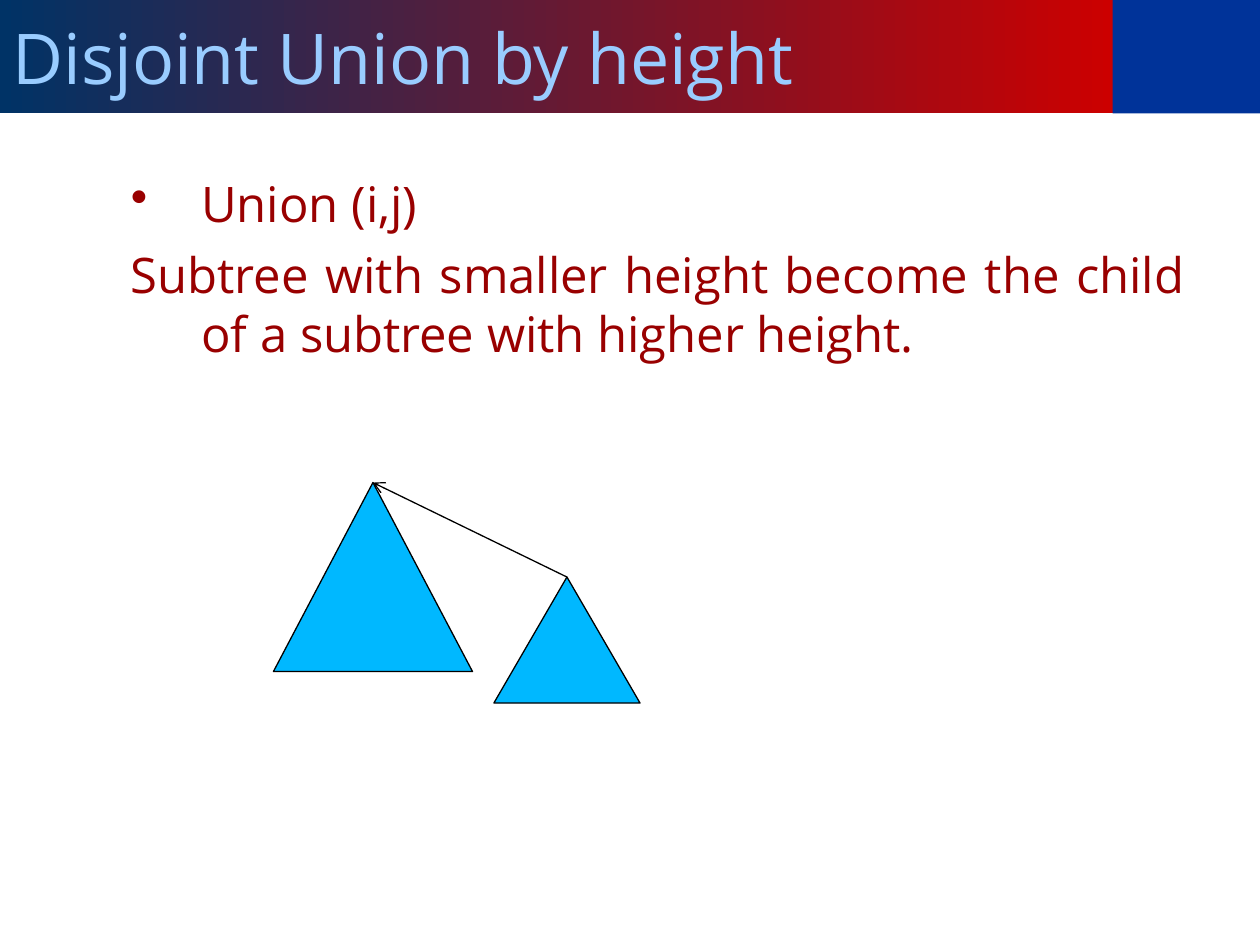
from typing import NamedTuple

from lxml.etree import SubElement
from pptx import Presentation
from pptx.dml.color import RGBColor
from pptx.enum.shapes import MSO_CONNECTOR, MSO_SHAPE
from pptx.enum.text import MSO_ANCHOR, MSO_AUTO_SIZE, PP_ALIGN
from pptx.oxml.ns import qn
from pptx.util import Inches, Pt

COLORS = {
    "band_start": "003366", "band_end": "CC0000", "corner": "003399",
    "title": "99CCFF", "body": "990000", "tree": "00B8FF", "outline": "000000",
}
FONT = "Open Sans"
SLIDE_WIDTH, SLIDE_HEIGHT = 10, 7.5
BAND_WIDTH, BAND_HEIGHT = 8.84, 0.12 * SLIDE_HEIGHT


class Tree(NamedTuple):
    left: float
    top: float
    width: float
    height: float

    @property
    def root(self) -> tuple[float, float]:
        return self.left + self.width / 2, self.top


class Line(NamedTuple):
    text: str
    bullet: str = ""


SMALL_TREE = Tree(3.92, 4.58, 1.16, 1)
TALL_TREE = Tree(2.17, 3.83, 1.58, 1.5)
LINES = [
    Line("Union (i,j)", "•"),
    Line("Subtree with smaller height become the child "
         "of a subtree with higher height."),
]


def color(name: str) -> RGBColor:
    return RGBColor.from_string(COLORS[name])


def set_font(font, size: int, color_name: str) -> None:
    for key, value in {"name": FONT, "size": Pt(size), "bold": False}.items():
        setattr(font, key, value)
    font.color.rgb = color(color_name)


def set_outline(line) -> None:
    line.color.rgb = color("outline")
    line.width = Pt(0.75)


def add_filled(slide, kind, box: tuple, color_name: str):
    shape = slide.shapes.add_shape(kind, *map(Inches, box))
    shape.shadow.inherit = False
    shape.fill.solid()
    shape.fill.fore_color.rgb = color(color_name)
    shape.line.fill.background()
    return shape


def format_title(title) -> None:
    box = {"left": 0, "top": 0, "width": BAND_WIDTH, "height": BAND_HEIGHT}
    for key, value in box.items():
        setattr(title, key, Inches(value))
    title.fill.gradient()
    title.fill.gradient_angle = 0
    for stop, name in zip(title.fill.gradient_stops, ("band_start", "band_end")):
        stop.color.rgb = color(name)
    frame = title.text_frame
    frame.text = "Disjoint Union by height"
    frame.auto_size = MSO_AUTO_SIZE.NONE
    frame.vertical_anchor = MSO_ANCHOR.MIDDLE
    frame.paragraphs[0].alignment = PP_ALIGN.LEFT
    set_font(frame.paragraphs[0].runs[0].font, 40, "title")


def add_body(slide, lines: list[Line]) -> None:
    frame = slide.shapes.add_textbox(*map(Inches, (0.5, 1.33, 9, 5.37))).text_frame
    frame.word_wrap = True
    for index, line in enumerate(lines):
        paragraph = frame.add_paragraph() if index else frame.paragraphs[0]
        paragraph.alignment = PP_ALIGN.JUSTIFY
        paragraph.space_before = Pt(7)
        run = paragraph.add_run()
        run.text = line.text
        set_font(run.font, 28, "body")
        # Hanging indent and bullet
        properties = paragraph._p.get_or_add_pPr()
        properties.set("marL", str(Inches(1)))
        properties.set("indent", str(Inches(-0.56)))
        if line.bullet:
            SubElement(properties, qn("a:buChar")).set("char", line.bullet)
        else:
            SubElement(properties, qn("a:buNone"))


def add_union_arrow(slide, child: Tree, parent: Tree) -> None:
    arrow = slide.shapes.add_connector(
        MSO_CONNECTOR.STRAIGHT, *map(Inches, child.root + parent.root))
    set_outline(arrow.line)
    SubElement(arrow.line._get_or_add_ln(), qn("a:tailEnd")).set("type", "arrow")
    SubElement(arrow._element.spPr, qn("a:effectLst"))


presentation = Presentation()
presentation.slide_width = Inches(SLIDE_WIDTH)
presentation.slide_height = Inches(SLIDE_HEIGHT)
slide = presentation.slides.add_slide(presentation.slide_layouts[5])

# Header band
format_title(slide.shapes.title)
corner_left = BAND_WIDTH - 0.01
add_filled(slide, MSO_SHAPE.RECTANGLE,
           (corner_left, 0, SLIDE_WIDTH - corner_left, BAND_HEIGHT), "corner")

# Explanation
add_body(slide, LINES)

# Trees joined by height
for tree in (SMALL_TREE, TALL_TREE):
    set_outline(add_filled(slide, MSO_SHAPE.ISOSCELES_TRIANGLE, tree, "tree").line)
add_union_arrow(slide, SMALL_TREE, TALL_TREE)

presentation.save("out.pptx")
